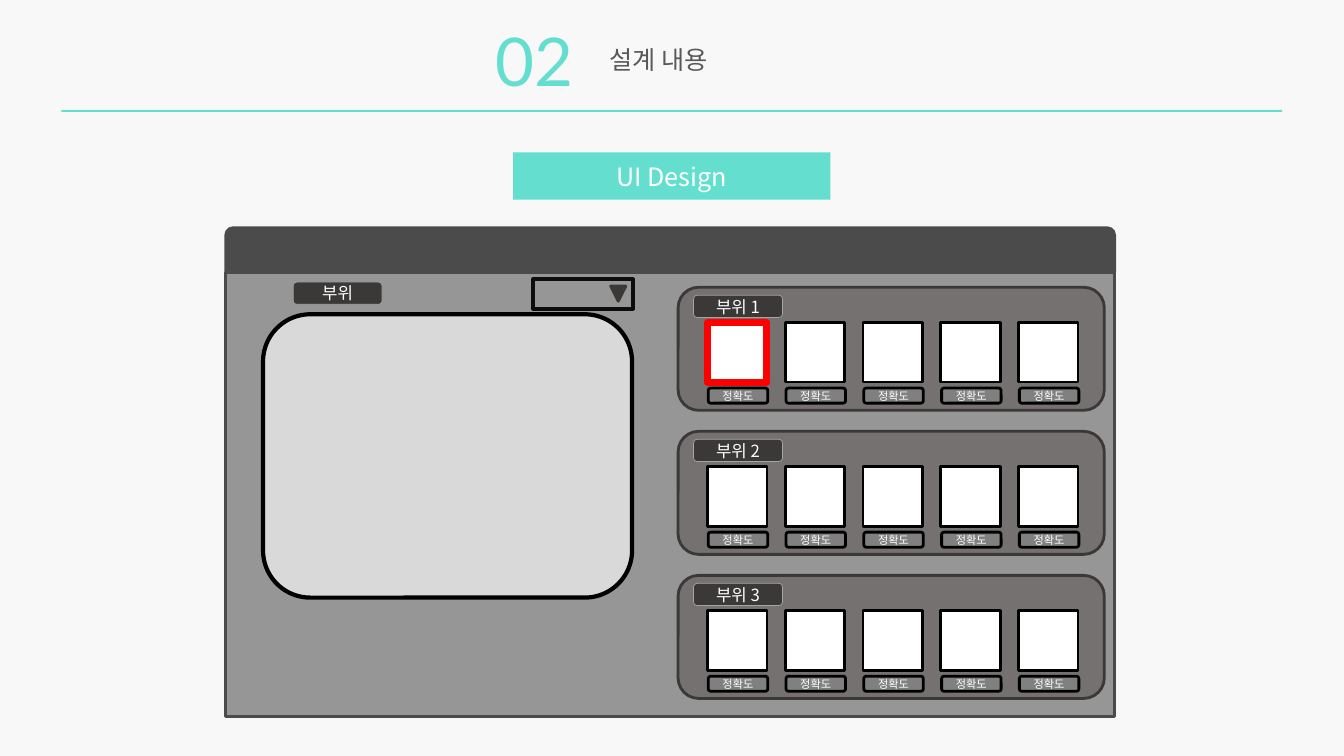
"""Build the UI design slide: a header, a badge and an application window mock-up."""
from dataclasses import dataclass

from lxml.etree import SubElement
from pptx import Presentation
from pptx.dml.color import RGBColor
from pptx.enum.shapes import MSO_SHAPE as SHAPE
from pptx.enum.text import MSO_ANCHOR as ANCHOR, MSO_AUTO_SIZE as AUTO, PP_ALIGN as ALIGN
from pptx.oxml.ns import qn
from pptx.util import Cm, Pt


@dataclass(frozen=True)
class Theme:
    paper: str = "F8F8F8"
    accent: str = "64DECF"
    white: str = "FFFFFF"
    black: str = "000000"
    red: str = "FF0000"
    heading: str = "595959"
    frame: str = "4B4B4B"
    window: str = "969696"
    screen: str = "D9D9D9"
    dropdown: str = "0D0D0D"
    dark: str = "3B3838"
    panel: str = "767171"
    tag_edge: str = "A5A5A5"
    score: str = "808080"
    body_font: str = "Noto Sans CJK KR"
    number_font: str = "Lato"
    number_size: int = 48
    title_size: int = 18
    tag_size: int = 12
    score_size: int = 8


T = Theme()


def write(sp, text, size, color, font=T.body_font, align=ALIGN.CENTER, **frame):
    tf = sp.text_frame
    settings = dict(word_wrap=True, auto_size=AUTO.NONE, vertical_anchor=ANCHOR.MIDDLE,
                    margin_left=0, margin_right=0, margin_top=0, margin_bottom=0)
    for name, value in {**settings, **frame}.items():
        setattr(tf, name, value)
    p = tf.paragraphs[0]
    p.alignment = align
    r = p.add_run()
    r.text = text
    for name, value in dict(name=font, size=Pt(size), bold=False).items():
        setattr(r.font, name, value)
    r.font.color.rgb = RGBColor.from_string(color)
    SubElement(r.font._element, qn("a:ea"), typeface=font)


def draw(kind, box, fill=None, line=None, width=2):
    sp = s.shapes.add_shape(kind, *map(Cm, box))
    sp.shadow.inherit = False
    if fill:
        sp.fill.solid()
        sp.fill.fore_color.rgb = RGBColor.from_string(fill)
    else:
        sp.fill.background()
    if line:
        sp.line.color.rgb = RGBColor.from_string(line)
        sp.line.width = Pt(width)
    else:
        sp.line.fill.background()
    return sp


prs = Presentation()
prs.slide_width, prs.slide_height = Cm(33.87), Cm(19.05)
s = prs.slides.add_slide(prs.slide_layouts[5])
s.background.fill.solid()
s.background.fill.fore_color.rgb = RGBColor.from_string(T.paper)

title = s.shapes.title
title_box = dict(left=15.11, top=0.99, width=3.53, height=1.02)
for name, value in title_box.items():
    setattr(title, name, Cm(value))
write(title, "설계 내용", T.title_size, T.heading, align=ALIGN.LEFT, vertical_anchor=ANCHOR.TOP,
      margin_left=Cm(0.25), margin_top=Cm(0.13))

number = s.shapes.add_textbox(Cm(12.17), Cm(0.36), Cm(2.59), Cm(2.31))
write(number, "02", T.number_size, T.accent, T.number_font, word_wrap=False)

draw(SHAPE.RECTANGLE, (1.55, 2.77, 30.76, 0.05), T.accent)
badge = draw(SHAPE.RECTANGLE, (12.93, 3.84, 8, 1.19), T.accent)
write(badge, "UI Design", T.title_size, T.white)

draw(SHAPE.ROUND_2_SAME_RECTANGLE, (5.69, 5.74, 22.4, 1.12), T.frame, T.frame)
draw(SHAPE.RECTANGLE, (5.69, 6.86, 22.4, 11.2), T.window, T.frame)
draw(SHAPE.ROUNDED_RECTANGLE, (6.63, 7.92, 9.3, 7.14), T.screen, T.black, 3)
draw(SHAPE.RECTANGLE, (13.44, 7.04, 2.51, 0.74), None, T.dropdown, 3)
arrow = draw(SHAPE.ISOSCELES_TRIANGLE, (15.39, 7.21, 0.38, 0.38), T.dark, T.dark)
arrow.rotation = 180

tags = [("부위", 7.39, 7.11)]
for row in range(3):
    top = 7.24 + 3.63 * row
    draw(SHAPE.ROUNDED_RECTANGLE, (17.09, top, 10.74, 3.1), T.panel, T.dark)
    tags.append((f"부위 {row + 1}", 17.48, top + 0.2))
    for col in range(5):
        left = 17.83 + 1.96 * col
        selected = row == col == 0
        edge, width = (T.red, 5) if selected else (T.black, 2)
        draw(SHAPE.RECTANGLE, (left, top + 0.89, 1.5, 1.5), T.white, edge, width)
        score = draw(SHAPE.ROUNDED_RECTANGLE, (left + 0.02, top + 2.54, 1.5, 0.38), T.score, T.black)
        write(score, "정확도", T.score_size, T.white)

for text, left, top in tags:
    tag = draw(SHAPE.ROUNDED_RECTANGLE, (left, top, 2.24, 0.56), T.dark, T.tag_edge, 0.5)
    write(tag, text, T.tag_size, T.white)

prs.save("out.pptx")
